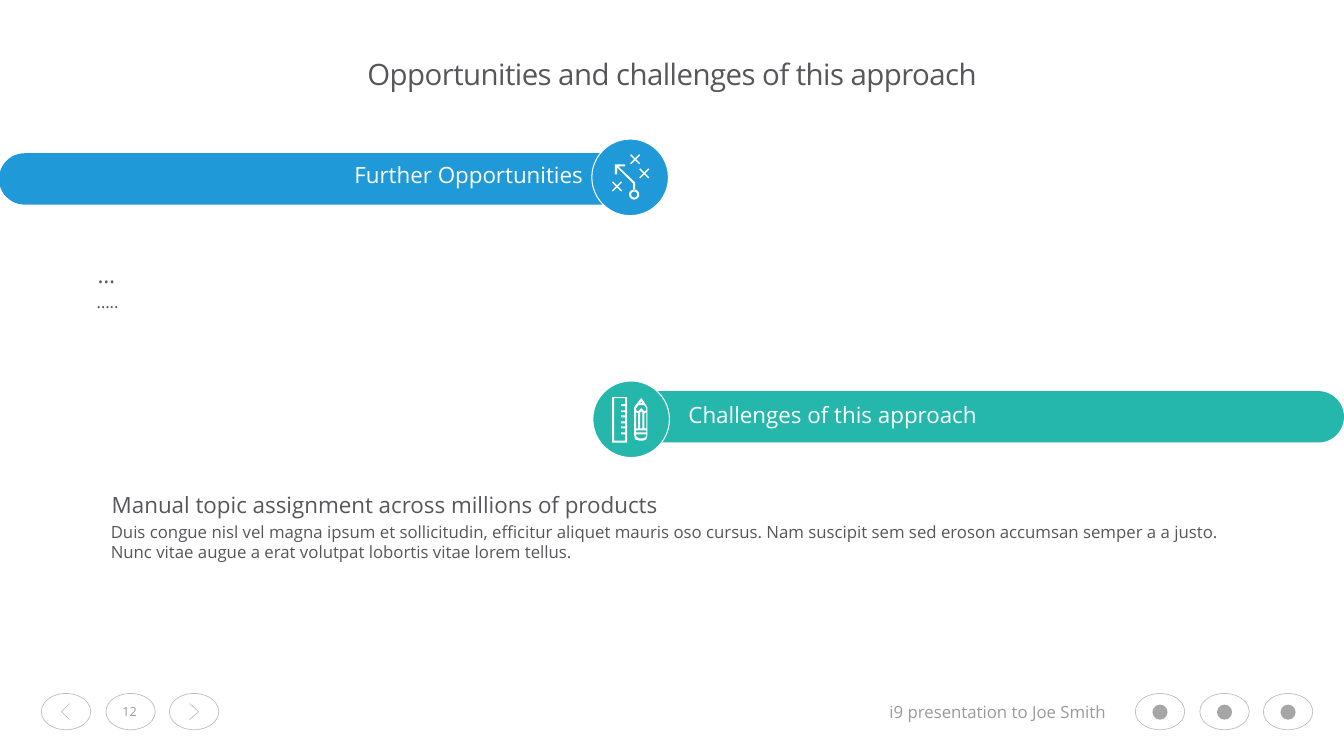
from math import cos, pi, sin

from pptx import Presentation
from pptx.dml.color import RGBColor
from pptx.enum.shapes import MSO_SHAPE as SHAPE
from pptx.enum.text import MSO_ANCHOR as ANCHOR, PP_ALIGN as ALIGN
from pptx.util import Inches, Pt

WHITE = RGBColor(0xFF, 0xFF, 0xFF)
BLUE = RGBColor(0x20, 0x99, 0xD8)
TEAL = RGBColor(0x25, 0xB7, 0xAB)
DARK = RGBColor(0x57, 0x56, 0x5A)
GREY = RGBColor(0x9A, 0x9A, 0x9B)
ICON_GREY = RGBColor(0xA6, 0xA6, 0xA6)
RING_GREY = RGBColor(0xBF, 0xBF, 0xBF)

presentation = Presentation()
presentation.slide_width = Inches(13.33)
presentation.slide_height = Inches(7.5)
slide = presentation.slides.add_slide(presentation.slide_layouts[6])
shapes = slide.shapes


def set_style(shape, fill=None, line=None, weight=0.5):
    shape.shadow.inherit = False
    if fill is None:
        shape.fill.background()
    else:
        shape.fill.solid()
        shape.fill.fore_color.rgb = fill
    if line is None:
        shape.line.fill.background()
    else:
        shape.line.color.rgb = line
        shape.line.width = Pt(weight)


def add_freeform(contours, close=True):
    builder = None
    for contour in contours:
        corners = [(Inches(x), Inches(y)) for x, y in contour]
        if builder is None:
            builder = shapes.build_freeform(*corners[0])
        else:
            builder.move_to(*corners[0])
        builder.add_line_segments(corners[1:], close=close)
    return builder.convert_to_shape()


# Footer buttons: three on the left, three on the right
for left in (0.41, 1.05, 1.68, 11.26, 11.9, 12.53):
    button = shapes.add_shape(SHAPE.OVAL, Inches(left), Inches(6.88), Inches(0.49), Inches(0.36))
    set_style(button, line=RING_GREY)
    if left > 11:
        dot = shapes.add_shape(SHAPE.OVAL, Inches(left + 0.17), Inches(6.99),
                               Inches(0.15), Inches(0.15))
        set_style(dot, fill=ICON_GREY)
for end, tip in ((0.69, 0.61), (1.88, 1.97)):
    chevron = add_freeform([[(end, 6.98), (tip, 7.06), (end, 7.14)]], close=False)
    set_style(chevron, line=RING_GREY)

# Section bars with round badges
for bar_left, bar_top, bar_width, badge_left, badge_top, color in (
    (-0.01, 1.52, 6.64, 5.87, 1.38, BLUE),
    (6.26, 3.88, 7.07, 5.88, 3.78, TEAL),
):
    bar = shapes.add_shape(SHAPE.ROUNDED_RECTANGLE, Inches(bar_left), Inches(bar_top),
                           Inches(bar_width), Inches(0.51))
    bar.adjustments[0] = 0.5
    set_style(bar, fill=color)
    badge = shapes.add_shape(SHAPE.OVAL, Inches(badge_left), Inches(badge_top),
                             Inches(0.76), Inches(0.76))
    set_style(badge, color, WHITE, 0.75)

# Strategy icon: bent arrow, ring and three crosses
strategy = [[(6.3, 1.89), (6.3, 1.81), (6.13, 1.65), (6.2, 1.65), (6.2, 1.63), (6.1, 1.63),
             (6.1, 1.73), (6.12, 1.73), (6.12, 1.66), (6.28, 1.82), (6.28, 1.89)]]
for radius in (0.05, 0.03):
    angles = [2 * pi * step / 24 for step in range(24)]
    strategy.append([(6.29 + radius * cos(a), 1.93 + radius * sin(a)) for a in angles])
quarter = ((0.05, -0.04), (0.01, 0), (0.05, 0.04), (0.04, 0.05), (0, 0.01))
cross = [*quarter, *[(-x, y) for x, y in quarter[3::-1]], (0, -0.01)]
cross = [*quarter[:4], (0, 0.01), (-0.04, 0.05), (-0.05, 0.04), (-0.01, 0),
         (-0.05, -0.04), (-0.04, -0.05), (0, -0.01), (0.04, -0.05)]
for center_x, center_y in ((6.12, 1.85), (6.39, 1.72), (6.3, 1.58)):
    strategy.append([(center_x + x, center_y + y) for x, y in cross])
set_style(add_freeform(strategy), fill=WHITE)

# Ruler and pencil icon: outlines with cut-out parts
comb = [(6.2, 4.37), (6.09, 4.37), (6.09, 3.95), (6.2, 3.95)]
for tick in range(6):
    top = 4.01 + tick * 0.06 - tick // 2 * 0.01
    comb += [(6.2, top), (6.16, top), (6.16, top + 0.02), (6.2, top + 0.02)]
ruler_and_pencil = [
    [(6.07, 3.94), (6.22, 3.94), (6.22, 4.39), (6.07, 4.39)],
    comb,
    [(6.35, 3.96), (6.36, 3.95), (6.37, 3.96), (6.42, 4.04), (6.42, 4.32), (6.41, 4.36),
     (6.38, 4.37), (6.34, 4.37), (6.3, 4.36), (6.29, 4.32), (6.29, 4.04)],
    [(6.36, 3.98), (6.35, 4), (6.37, 4)],
    [(6.41, 4.09), (6.39, 4.1), (6.39, 4.25), (6.41, 4.25)],
    [(6.31, 4.31), (6.31, 4.33), (6.34, 4.35), (6.38, 4.35), (6.41, 4.33), (6.41, 4.31)],
    [(6.31, 4.27), (6.41, 4.27), (6.41, 4.29), (6.31, 4.29)],
    [(6.35, 4.09), (6.36, 4.08), (6.37, 4.09), (6.37, 4.25), (6.35, 4.25)],
    [(6.31, 4.09), (6.33, 4.1), (6.33, 4.25), (6.31, 4.25)],
    [(6.31, 4.05), (6.33, 4.02), (6.39, 4.02), (6.41, 4.05), (6.41, 4.07), (6.39, 4.08),
     (6.37, 4.06), (6.36, 4.05), (6.35, 4.06), (6.33, 4.08), (6.31, 4.07)],
]
set_style(add_freeform(ruler_and_pencil), fill=WHITE)

# Texts: words, box, size, colour, alignment, line spacing, anchor, insets
NORMAL = (0.1, 0.05)
LOREM = ("Duis congue nisl vel magna ipsum et sollicitudin, efficitur aliquet mauris oso cursus. "
         "Nam suscipit sem sed eroson accumsan semper a a justo. "
         "Nunc vitae augue a erat volutpat lobortis vitae lorem tellus.")
texts = [
    ("Opportunities and challenges of this approach", (1, 0.31, 11.33, 0.89),
     21, DARK, ALIGN.CENTER, 0.86, ANCHOR.MIDDLE, (0, 0)),
    ("Further Opportunities", (2.49, 1.59, 3.39, 0.34),
     16, WHITE, ALIGN.RIGHT, 0.87, ANCHOR.TOP, NORMAL),
    ("Challenges of this approach", (6.73, 3.97, 4.74, 0.34),
     16, WHITE, ALIGN.LEFT, 0.87, ANCHOR.TOP, NORMAL),
    ("…", (0.87, 2.54, 8.59, 0.91), 16, DARK, ALIGN.LEFT, 1.0, ANCHOR.TOP, NORMAL),
    ("…..", (0.86, 2.85, 11.48, 0.3), 12, DARK, ALIGN.LEFT, 1.0, ANCHOR.TOP, NORMAL),
    ("Manual topic assignment across millions of products", (1.01, 4.82, 8.59, 0.91),
     16, DARK, ALIGN.LEFT, 1.0, ANCHOR.TOP, NORMAL),
    (LOREM, (1, 5.13, 11.48, 0.5), 12, DARK, ALIGN.LEFT, 1.0, ANCHOR.TOP, NORMAL),
    ("i9 presentation to Joe Smith", (7.95, 6.89, 3.15, 0.34),
     12, GREY, ALIGN.RIGHT, 1.0, ANCHOR.MIDDLE, (0.13, 0.07)),
    ("12", (1.04, 6.88, 0.49, 0.36), 9, GREY, ALIGN.CENTER, 1.0, ANCHOR.MIDDLE, NORMAL),
]
for words, box, size, color, alignment, spacing, anchor, (inset_x, inset_y) in texts:
    frame = shapes.add_textbox(*[Inches(value) for value in box]).text_frame
    frame.word_wrap = True
    frame.vertical_anchor = anchor
    frame.margin_left = frame.margin_right = Inches(inset_x)
    frame.margin_top = frame.margin_bottom = Inches(inset_y)
    paragraph = frame.paragraphs[0]
    paragraph.alignment = alignment
    paragraph.line_spacing = spacing
    run = paragraph.add_run()
    run.text = words
    run.font.name = "Open Sans"
    run.font.size = Pt(size)
    run.font.color.rgb = color
    if size == 21:  # tighter letters in the title
        run._r.get_or_add_rPr().set("spc", "-40")

presentation.save("out.pptx")
